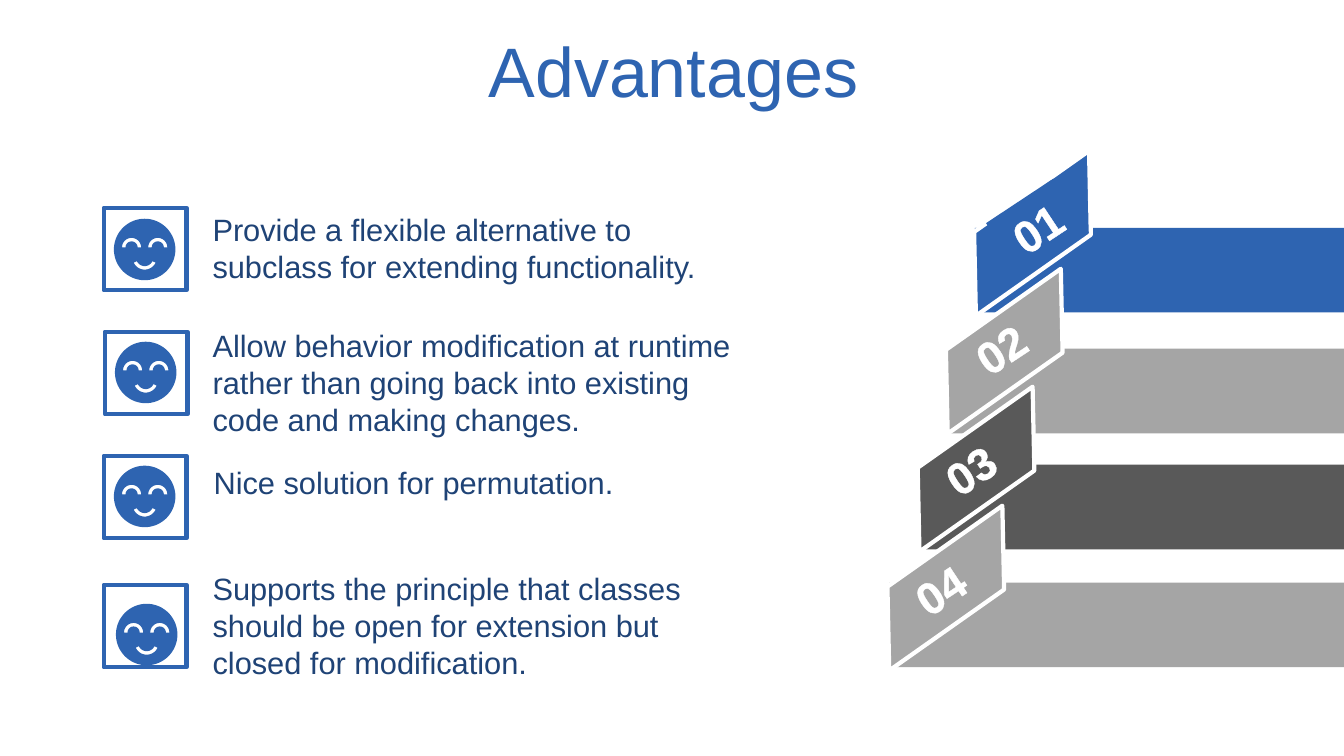
from math import cos, radians, sin

from lxml import etree
from pptx import Presentation
from pptx.dml.color import RGBColor
from pptx.enum.shapes import MSO_SHAPE
from pptx.enum.text import MSO_ANCHOR, MSO_AUTO_SIZE, PP_ALIGN
from pptx.oxml.ns import qn
from pptx.util import Pt

RECTANGLE = MSO_SHAPE.RECTANGLE
PARALLELOGRAM = MSO_SHAPE.PARALLELOGRAM
MIDDLE = MSO_ANCHOR.MIDDLE
CENTER = PP_ALIGN.CENTER

BLUE = RGBColor(0x2E, 0x64, 0xB1)
NAVY = RGBColor(0x1F, 0x43, 0x76)
GRAY = RGBColor(0xA5, 0xA5, 0xA5)
DARK = RGBColor(0x59, 0x59, 0x59)
WHITE = RGBColor(0xFF, 0xFF, 0xFF)

PX = 9144  # 100 px to the inch
SLIDE = (1333, 750)

TITLE = "Advantages"
TITLE_BOX = (35, 37, 1266, 79)
TITLE_FONT = {"name": "Arial", "size": Pt(50)}
BODY_FONT = {"name": "Arial", "size": Pt(22)}
NUMBER_FONT = {"name": "Arial", "size": Pt(32), "bold": True}

# text, text box, frame corner, face corner
ADVANTAGES = [
    ("Provide a flexible alternative to subclass for extending functionality.",
     (201, 204, 517, 84), (103, 206), (113, 217)),
    ("Allow behavior modification at runtime rather than going back into "
     "existing code and making changes.",
     (201, 319, 548, 121), (104, 329), (114, 339)),
    ("Nice solution for permutation.",
     (202, 455, 448, 47), (103, 452), (113, 462)),
    ("Supports the principle that classes should be open for extension but "
     "closed for modification.",
     (201, 560, 532, 121), (103, 580), (115, 599)),
]
FRAME = 82
FACE = 61

# number, colour, bar corner, badge corner, number box, number background
STEPS = [
    ("01", BLUE, (967, 226), (931, 197), (989, 194, 80, 64), BLUE),
    ("02", GRAY, (939, 346), (903, 314), (940, 314, 105, 64), None),
    ("03", DARK, (913, 461), (875, 431), (910, 434, 105, 64), None),
    ("04", GRAY, (882, 578), (845, 549), (880, 553, 105, 64), None),
]
BAR_RIGHT, BAR_HEIGHT = 1538, 84
BADGE = (186, 69)
BADGE_TURN, BADGE_SLANT = 144.8, 0.674
NUMBER_TURN = 326.5


def emu(lengths):
    return [round(length * PX) for length in lengths]


def paint(shape, fill, line=None):
    shape.shadow.inherit = False
    shape.fill.solid()
    shape.fill.fore_color.rgb = fill
    if line is None:
        shape.line.fill.background()
    else:
        shape.line.color.rgb = line
        shape.line.width = Pt(3)


def add_block(kind, box, fill, line=None):
    block = slide.shapes.add_shape(kind, *emu(box))
    paint(block, fill, line)
    return block


def write(frame, text, color, font_format):
    """Put one formatted run in the frame and return its paragraph and run."""
    frame.word_wrap = True
    paragraph = frame.paragraphs[0]
    run = paragraph.add_run()
    run.text = text
    for key, value in font_format.items():
        setattr(run.font, key, value)
    run.font.color.rgb = color
    return paragraph, run


def arc(center, radius, start, end, steps):
    """Points on a circle, angles in degrees clockwise from the right."""
    angles = [radians(start + (end - start) * i / steps) for i in range(steps + 1)]
    return [emu((center[0] + radius * cos(a), center[1] + radius * sin(a)))
            for a in angles]


def band(center, outer, inner, start, end):
    return arc(center, outer, start, end, 20) + arc(center, inner, end, start, 20)


def add_face(left, top):
    """A disc with the mouth and both eyes cut out of it."""
    x, y = left + FACE / 2, top + FACE / 2
    contours = [
        arc((x, y), FACE / 2, 0, 360, 72),
        band((x, y + 8), 12, 8.5, 25, 155),
        band((x - 13, y - 2), 9.5, 6, 180, 360),
        band((x + 13, y - 2), 9.5, 6, 180, 360),
    ]
    builder = slide.shapes.build_freeform(*contours[0][0])
    for number, points in enumerate(contours):
        if number:
            builder.move_to(*points[0])
        builder.add_line_segments(points[1:], close=True)
    paint(builder.convert_to_shape(), BLUE)


def outline(run, color):
    """Draw a 1 pt line around the letters."""
    line = etree.Element(qn("a:ln"), w=str(Pt(1)))
    fill = etree.SubElement(line, qn("a:solidFill"))
    etree.SubElement(fill, qn("a:srgbClr"), val=str(color))
    run.font._element.insert(0, line)


prs = Presentation()
prs.slide_width, prs.slide_height = emu(SLIDE)
slide = prs.slides.add_slide(prs.slide_layouts[5])

title = slide.shapes.title
title.left, title.top, title.width, title.height = emu(TITLE_BOX)
title_frame = title.text_frame
title_frame.auto_size = MSO_AUTO_SIZE.NONE
title_frame.vertical_anchor = MIDDLE
title_frame.margin_top, title_frame.margin_bottom = emu((10, 5))
title_line, _ = write(title_frame, TITLE, BLUE, TITLE_FONT)
title_line.alignment = CENTER
title_line.line_spacing = 0.7

for _, color, (left, top), _, _, _ in STEPS:
    add_block(RECTANGLE, (left, top, BAR_RIGHT - left, BAR_HEIGHT), color)

for _, color, _, corner, _, _ in reversed(STEPS):
    badge = add_block(PARALLELOGRAM, corner + BADGE, color, WHITE)
    badge.adjustments[0] = BADGE_SLANT
    badge.rotation = BADGE_TURN

for number, _, _, _, box, background in STEPS:
    label = slide.shapes.add_textbox(*emu(box))
    label.rotation = NUMBER_TURN
    if background is not None:
        paint(label, background)
    number_line, number_run = write(label.text_frame, number, WHITE, NUMBER_FONT)
    number_line.alignment = CENTER
    outline(number_run, WHITE)

for text, box, frame_corner, face_corner in ADVANTAGES:
    add_block(RECTANGLE, frame_corner + (FRAME, FRAME), WHITE, BLUE)
    add_face(*face_corner)
    advantage = slide.shapes.add_textbox(*emu(box))
    advantage.text_frame.auto_size = MSO_AUTO_SIZE.SHAPE_TO_FIT_TEXT
    write(advantage.text_frame, text, NAVY, BODY_FONT)

prs.save("out.pptx")
